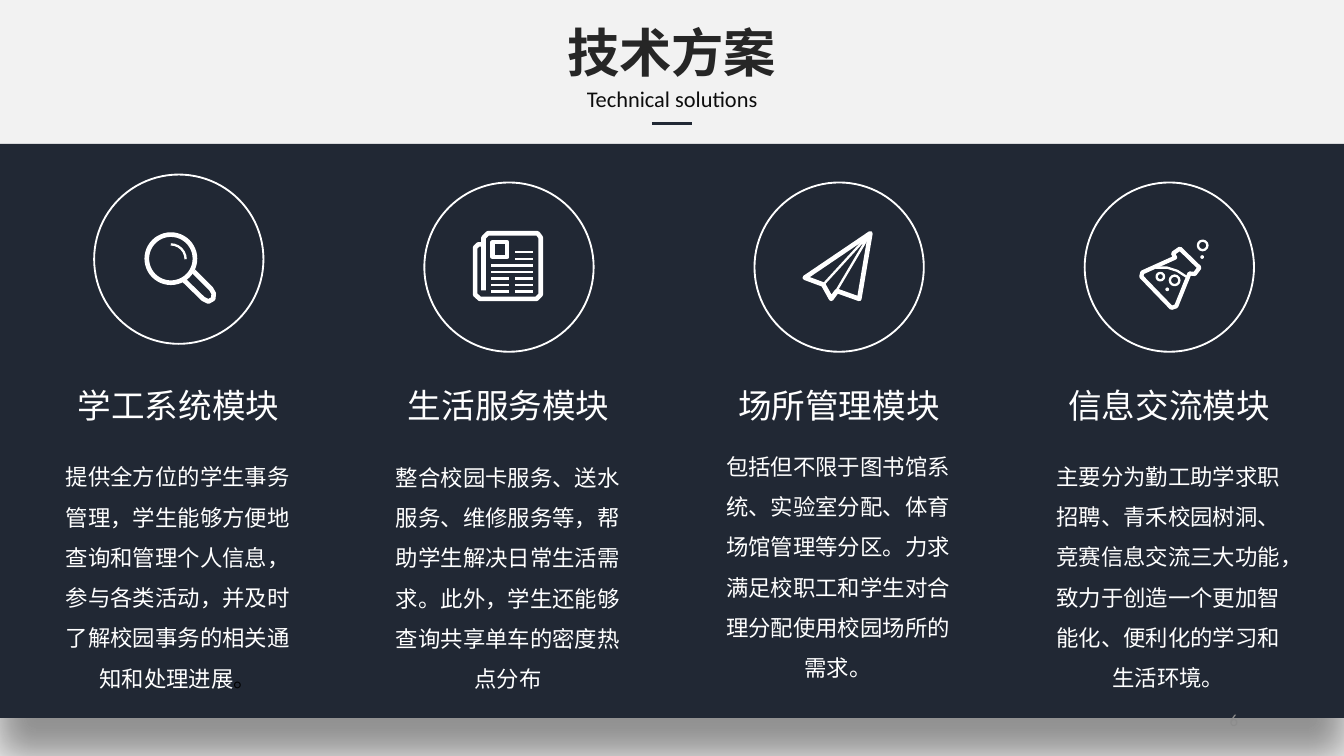
from lxml import etree
from pptx import Presentation, util as u
from pptx.dml.color import RGBColor
from pptx.enum import lang, shapes, text
from pptx.oxml.ns import qn

Cm = u.Cm
COLORS = {"bg": "F2F2F2", "navy": "212834", "white": "FFFFFF", "title": "262626",
          "subtitle": "0D0D0D", "black": "000000", "page": "8C8C8C"}
CJK = "Noto Sans CJK SC"


def add_text(runs, x, y, w, h, size, font="Calibri", bold=False, wrap=True, spacing=None,
             align=text.PP_ALIGN.CENTER, anchor=text.MSO_ANCHOR.TOP, grow=True):
    tf = s.shapes.add_textbox(Cm(x), Cm(y), Cm(w), Cm(h)).text_frame
    tf.word_wrap = wrap
    tf.vertical_anchor = anchor
    if grow:
        tf.auto_size = text.MSO_AUTO_SIZE.SHAPE_TO_FIT_TEXT
    p = tf.paragraphs[0]
    p.alignment = align
    p.line_spacing = spacing
    for words, color in runs:
        r = p.add_run()
        r.text = words
        r.font.size = u.Pt(size)
        r.font.bold = bold
        r.font.name = font
        r.font.color.rgb = RGBColor.from_string(COLORS[color])
        r.font.language_id = lang.MSO_LANGUAGE_ID.SIMPLIFIED_CHINESE
        etree.SubElement(r._r.rPr, qn("a:ea"), typeface=CJK)


def style(sp, width=0, line="white", fill=None):
    if hasattr(sp, "fill"):
        if fill:
            sp.fill.solid()
            sp.fill.fore_color.rgb = RGBColor.from_string(COLORS[fill])
        else:
            sp.fill.background()
    if width:
        sp.line.color.rgb = RGBColor.from_string(COLORS[line])
        sp.line.width = u.Pt(width)
    else:
        sp.line.fill.background()
    return etree.SubElement(sp._element.spPr, qn("a:effectLst"))


prs = Presentation()
prs.slide_width, prs.slide_height = Cm(25.4), Cm(14.29)
s = prs.slides.add_slide(prs.slide_layouts[6])
s.background.fill.solid()
s.background.fill.fore_color.rgb = RGBColor.from_string(COLORS["bg"])

panel = s.shapes.add_shape(shapes.MSO_SHAPE.RECTANGLE, 0, Cm(2.72), Cm(25.4), Cm(10.85))
effects = style(panel, fill="navy")
shadow = etree.SubElement(effects, qn("a:outerShdw"), blurRad=str(u.Pt(20)),
                          dist=str(u.Pt(20)), dir="5400000", algn="t", rotWithShape="0")
shade = etree.SubElement(shadow, qn("a:srgbClr"), val=COLORS["black"])
etree.SubElement(shade, qn("a:alpha"), val="40000")

add_text([("技术方案", "title")], 10.44, 0.25, 4.5, 1.45, 28, font=CJK, bold=True, wrap=False)
add_text([("Technical solutions", "subtitle")], 10.84, 1.48, 3.73, 0.76, 12, wrap=False)
rule = s.shapes.add_connector(shapes.MSO_CONNECTOR.STRAIGHT, Cm(12.32), Cm(2.34), Cm(13.08), Cm(2.34))
style(rule, 1.5, "navy")

modules = [
    ("学工系统模块", 3.3, 8.38, 4.88,
     [("提供全方位的学生事务管理，学生能够方便地查询和管理个人信息，参与各类活动，并及时了解校园事务的相关通知和处理进展", "white"),
      ("。", "black")]),
    ("生活服务模块", 3.45, 8.39, 4.88,
     [("整合校园卡服务、送水服务、维修服务等，帮助学生解决日常生活需求。此外，学生还能够查询共享单车的密度热点分布", "white")]),
    ("场所管理模块", 3.45, 8.18, 4.88,
     [("包括但不限于图书馆系统、实验室分配、体育场馆管理等分区。力求满足校职工和学生对合理分配使用校园场所的需求。", "white")]),
    ("信息交流模块", 3.45, 8.37, 5.64,
     [("主要分为勤工助学求职招聘、青禾校园树洞、竞赛信息交流三大功能，致力于创造一个更加智能化、便利化的学习和生活环境。", "white")]),
]
for i, (heading, circle_y, body_y, body_h, body) in enumerate(modules):
    dx = 6.24 * i
    ring = s.shapes.add_shape(shapes.MSO_SHAPE.OVAL, Cm(1.78 + dx), Cm(circle_y), Cm(3.2), Cm(3.2))
    style(ring, 1)
    add_text(body, 0.97 + dx, body_y, 4.78, body_h, 12, spacing=1.5)
    add_text([(heading, "white")], 1.19 + dx, 7.15, 4.37, 1.02, 18, font=CJK, wrap=False)

magnifier, newspaper, plane, flask = [s.shapes.add_group_shape() for _ in modules]

outlines = [
    (magnifier, 2.5, False, [(348, 530), (384, 565), (394, 570), (403, 565), (404, 555), (399, 546), (366, 513)]),
    (newspaper, 2.5, False, [(914, 549), (914, 449), (922, 441), (1016, 441), (1022, 449), (1022, 557),
                             (1014, 565), (907, 565), (898, 557), (898, 468), (904, 462), (914, 462)]),
    (plane, 2.5, True, [(1521, 525), (1645, 441), (1624, 565), (1582, 550), (1571, 565), (1556, 538)]),
    (plane, 1.25, False, [(1556, 538), (1645, 441), (1576, 558)]),
    (flask, 2.25, True, [(2230, 470), (2267, 506), (2258, 518), (2248, 517), (2223, 579), (2214, 582),
                         (2157, 523), (2159, 515), (2221, 487), (2217, 479)]),
    (flask, 1.25, False, [(2184, 506), (2206, 506), (2225, 512), (2242, 523)]),
]
for icon, width, closed, points in outlines:
    fb = icon.shapes.build_freeform(*points[0], scale=Cm(0.01))
    fb.add_line_segments(points[1:], close=closed)
    style(fb.convert_to_shape(), width)

OVAL, ARC, SQUARE = shapes.MSO_SHAPE.OVAL, shapes.MSO_SHAPE.ARC, shapes.MSO_SHAPE.RECTANGLE
details = [
    (magnifier, OVAL, 3.23, 4.89, 0.91, 2.5, None),
    (magnifier, ARC, 3.23, 4.9, 0.56, 1.25, None),
    (newspaper, SQUARE, 9.45, 4.72, 0.28, 2.25, None),
    (flask, OVAL, 22.2, 5.3, 0.18, 1.25, None),
    (flask, OVAL, 22.73, 4.64, 0.18, 1.25, None),
    (flask, OVAL, 21.93, 5.23, 0.14, 1.25, None),
    (flask, OVAL, 22.06, 5.47, 0.07, 0, "white"),
    (flask, OVAL, 22.72, 4.86, 0.07, 0, "white"),
]
for icon, kind, cx, cy, size, width, fill in details:
    sp = icon.shapes.add_shape(kind, Cm(cx - size / 2), Cm(cy - size / 2), Cm(size), Cm(size))
    style(sp, width, fill=fill)

left, right, full = (9.28, 9.62), (9.73, 10.08), (9.28, 10.08)
rows = [[right]] * 2 + [[full]] * 2 + [[left, right]] * 3
for i, row in enumerate(rows):
    y = Cm(4.77 + 0.74 * i / 6)
    for x1, x2 in row:
        style(newspaper.shapes.add_connector(shapes.MSO_CONNECTOR.STRAIGHT, Cm(x1), y, Cm(x2), y), 1.25)

add_text([("6", "page")], 17.93, 13.23, 5.72, 0.76, 9, align=text.PP_ALIGN.RIGHT,
         anchor=text.MSO_ANCHOR.MIDDLE, grow=False)

prs.save("out.pptx")
